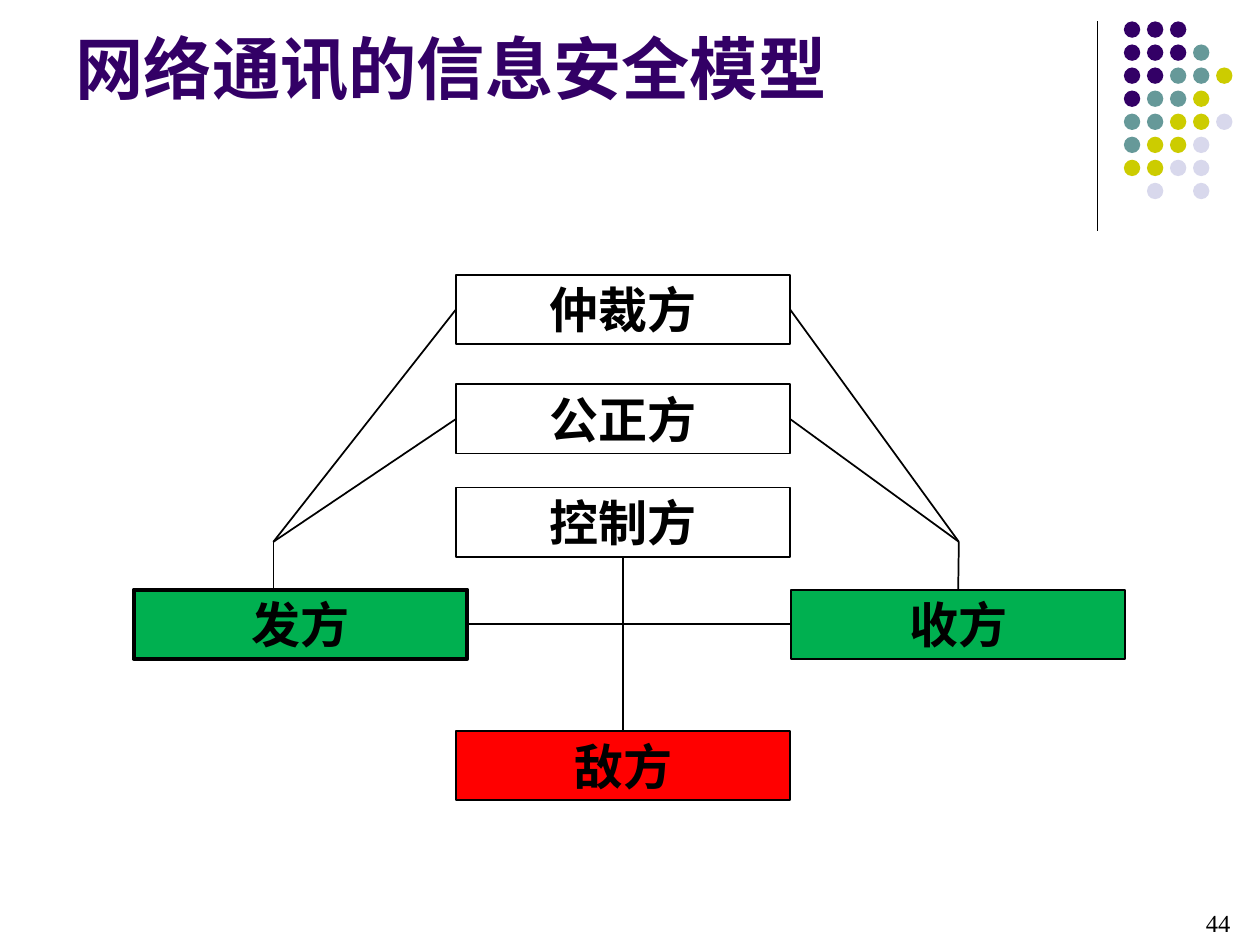
from pptx import Presentation
from pptx.dml.color import RGBColor
from pptx.enum.lang import MSO_LANGUAGE_ID
from pptx.enum.shapes import MSO_CONNECTOR, MSO_SHAPE
from pptx.enum.text import MSO_ANCHOR, MSO_AUTO_SIZE, PP_ALIGN
from pptx.util import Inches, Pt
from lxml.etree import SubElement
from pptx.oxml.ns import qn

THEME = {
    "ink": "000000", "title": "330066", "white": "FFFFFF",
    "green": "00B050", "red": "FF0000",
    "font": "Arial", "serif": "Times New Roman",
    "head": 39, "label": 28, "page": 14, "line": 1, "bold": 2.25, "rule": 0.75,
}
DOTS = ["PPP", "PPPT", "PPTTY", "PTTY", "TTYYL", "TYYL", "YYLL", " L L"]
TINTS = {"P": "330066", "T": "669999", "Y": "CCCC00", "L": "D8D8EC"}
TITLE = "网络通讯的信息安全模型"
PAGE = "44"
SIZE = (2.65, 0.55)
MID = 3.62
ROLES = {
    "judge": ("仲裁方", MID, 2.18, "white", "line"),
    "fair": ("公正方", MID, 3.05, "white", "line"),
    "control": ("控制方", MID, 3.87, "white", "line"),
    "sender": ("发方", 1.06, 4.68, "green", "bold"),
    "taker": ("收方", 6.28, 4.68, "green", "line"),
    "enemy": ("敌方", MID, 5.8, "red", "line"),
}
TOP, LEFT, BOTTOM, RIGHT = range(4)
FORK_L, FORK_R = (2.17, 4.3), (7.61, 4.3)
LINKS = [
    ((2.17, 4.68), FORK_L),
    (FORK_L, ("judge", LEFT)),
    (FORK_L, ("fair", LEFT)),
    (("taker", TOP), FORK_R),
    (FORK_R, ("judge", RIGHT)),
    (FORK_R, ("fair", RIGHT)),
    (("sender", RIGHT), ("taker", LEFT)),
    (("control", BOTTOM), ("enemy", TOP)),
]

deck = Presentation()
deck.slide_width, deck.slide_height = Inches(10), Inches(7.5)
slide = deck.slides.add_slide(deck.slide_layouts[5])
shapes = slide.shapes


def color(name):
    return RGBColor.from_string(THEME.get(name, name))


def write(shape, text, size="label", font="font", ink="ink", bold=True,
          align=PP_ALIGN.CENTER, anchor=MSO_ANCHOR.MIDDLE, wrap=False, inset=None):
    frame = shape.text_frame
    frame.auto_size = MSO_AUTO_SIZE.NONE
    frame.word_wrap = wrap
    frame.vertical_anchor = anchor
    if inset is not None:
        frame.margin_left = frame.margin_right = Inches(inset)
        frame.margin_top = frame.margin_bottom = Inches(inset)
    para = frame.paragraphs[0]
    para.alignment = align
    run = para.add_run()
    run.text = text
    run.font.name = THEME[font]
    run.font.size = Pt(THEME[size])
    run.font.bold = bold
    run.font.color.rgb = color(ink)
    run.font.language_id = MSO_LANGUAGE_ID.SIMPLIFIED_CHINESE


def draw(kind, left, top, width, height, fill, line=None):
    shape = shapes.add_shape(kind, *map(Inches, (left, top, width, height)))
    shape.shadow.inherit = False
    shape.fill.solid()
    shape.fill.fore_color.rgb = color(fill)
    if line:
        shape.line.color.rgb = color("ink")
        shape.line.width = Pt(THEME[line])
    else:
        shape.line.fill.background()
    return shape


def link(start, end, width="line"):
    ends = [(0, 0) if isinstance(e[0], str) else e for e in (start, end)]
    wire = shapes.add_connector(MSO_CONNECTOR.STRAIGHT,
                                *(Inches(n) for e in ends for n in e))
    wire.line.color.rgb = color("ink")
    wire.line.width = Pt(THEME[width])
    SubElement(wire._element.spPr, qn("a:effectLst"))
    for tip, join in ((start, wire.begin_connect), (end, wire.end_connect)):
        if isinstance(tip[0], str):
            join(boxes[tip[0]], tip[1])


link((8.71, 0.17), (8.71, 1.83), width="rule")
STEP = 0.183
for row, marks in enumerate(DOTS):
    for col, mark in enumerate(marks):
        if mark in TINTS:
            draw(MSO_SHAPE.OVAL, 8.92 + col * STEP, 0.17 + row * STEP,
                 0.13, 0.13, TINTS[mark])

head = shapes.title
head.left, head.top, head.width, head.height = map(Inches, (0.5, 0.13, 8.25, 0.78))
write(head, TITLE, size="head", ink="title", align=PP_ALIGN.LEFT,
      anchor=MSO_ANCHOR.BOTTOM, wrap=True)

boxes = {}
for name, (text, left, top, fill, line) in ROLES.items():
    boxes[name] = draw(MSO_SHAPE.RECTANGLE, left, top, *SIZE, fill, line)
    write(boxes[name], text)

for start, end in LINKS:
    link(start, end)

page = shapes.add_textbox(*map(Inches, (9.57, 7.21, 0.33, 0.23)))
write(page, PAGE, size="page", font="serif", bold=False, align=PP_ALIGN.LEFT,
      anchor=MSO_ANCHOR.TOP, wrap=True, inset=0)

deck.save("out.pptx")
